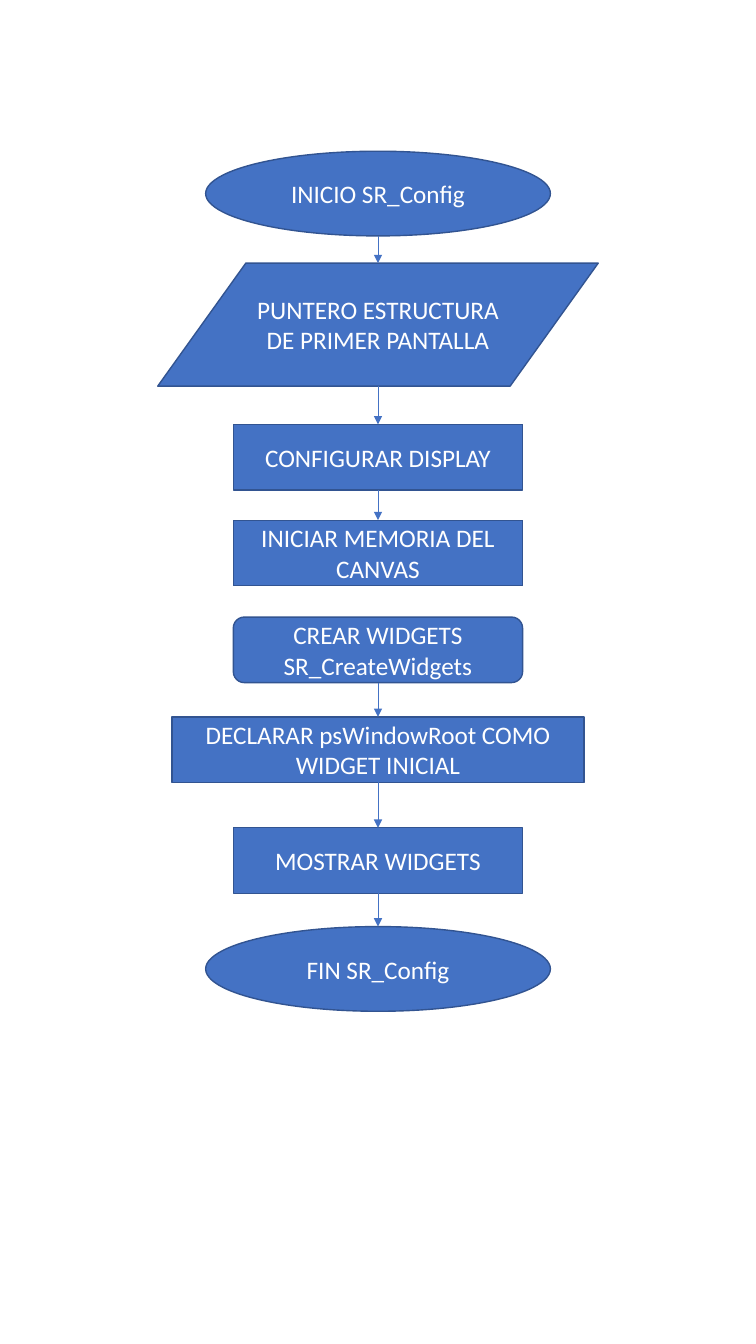
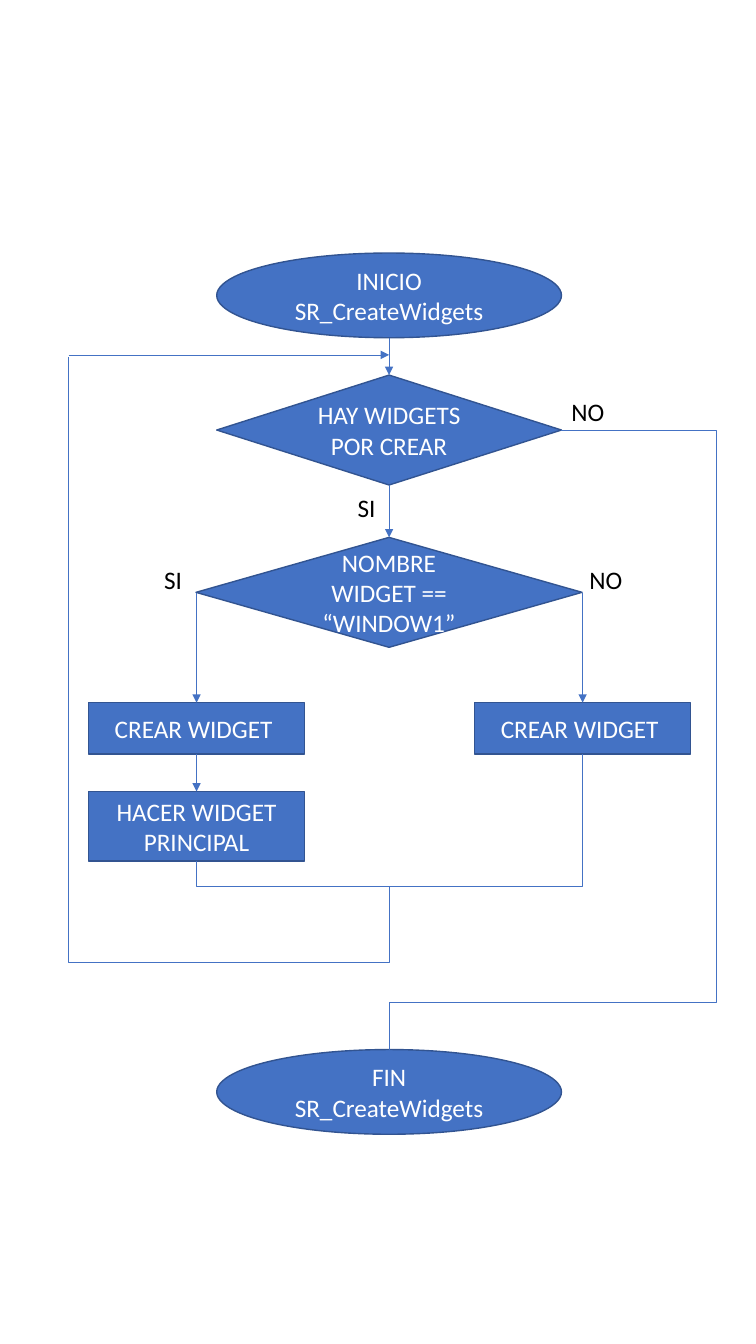
"""Build two flowchart slides describing the SR_Config and SR_CreateWidgets routines."""
import itertools
from dataclasses import dataclass

import lxml.etree
import pptx
import pptx.dml.color
import pptx.enum.shapes
import pptx.enum.text
import pptx.oxml.ns
import pptx.util

Inches = pptx.util.Inches
Kind = pptx.enum.shapes.MSO_SHAPE
Line = pptx.enum.shapes.MSO_CONNECTOR
Point = tuple[float, float]

COLORS = {"fill": "4472C4", "outline": "325491", "light": "FFFFFF", "dark": "000000"}
FONT_NAME = "Calibri"
FONT_SIZE = 18
TERMINAL = (3.42, 0.84)
STEP = (2.87, 0.65)
TASK = (2.14, 0.51)
CONFIG_AXIS = 3.75
WIDGETS_AXIS, YES_AXIS, NO_AXIS = 3.86, 1.95, 5.78


@dataclass(frozen=True)
class Node:
    """A flowchart block centred on a vertical axis."""
    kind: Kind
    text: str
    axis: float
    top: float
    size: tuple[float, float]

    @property
    def bottom(self) -> float:
        """Return the lower edge of the block."""
        return self.top + self.size[1]


@dataclass(frozen=True)
class Elbow:
    """A bent connector whose frame is rotated by quarter turns."""
    start: Point
    end: Point
    quarter_turns: int
    preset: str
    adjustments: tuple[int, ...]


@dataclass(frozen=True)
class Label:
    """A branch label beside a decision."""
    text: str
    left: float
    top: float
    width: float


def rgb(name: str) -> pptx.dml.color.RGBColor:
    """Return a palette colour."""
    return pptx.dml.color.RGBColor.from_string(COLORS[name])


def write_text(text_frame, text: str, color: str, alignment) -> None:
    """Fill a text frame and format its runs."""
    text_frame.text = text
    for paragraph in text_frame.paragraphs:
        paragraph.alignment = alignment
        for run in paragraph.runs:
            run.font.name = FONT_NAME
            run.font.size = pptx.util.Pt(FONT_SIZE)
            run.font.color.rgb = rgb(color)


def draw_node(slide, node: Node) -> None:
    """Draw one flowchart block."""
    width, height = node.size
    shape = slide.shapes.add_shape(
        node.kind, Inches(node.axis - width / 2), Inches(node.top), Inches(width), Inches(height))
    shape.shadow.inherit = False
    shape.fill.solid()
    shape.fill.fore_color.rgb = rgb("fill")
    shape.line.color.rgb = rgb("outline")
    shape.line.width = pptx.util.Pt(1)
    shape.text_frame.word_wrap = True
    shape.text_frame.vertical_anchor = pptx.enum.text.MSO_ANCHOR.MIDDLE
    write_text(shape.text_frame, node.text, "light", pptx.enum.text.PP_ALIGN.CENTER)


def draw_connector(slide, kind: Line, start: Point, end: Point, arrow: bool):
    """Draw a thin connector, with an arrowhead at its end if asked."""
    connector = slide.shapes.add_connector(kind, *map(Inches, start + end))
    connector.line.color.rgb = rgb("fill")
    connector.line.width = pptx.util.Pt(0.5)
    if arrow:
        line = connector.line._get_or_add_ln()
        lxml.etree.SubElement(line, pptx.oxml.ns.qn("a:tailEnd"), type="triangle")
    lxml.etree.SubElement(connector._element.spPr, pptx.oxml.ns.qn("a:effectLst"))
    return connector


def draw_arrow(slide, start: Point, end: Point) -> None:
    """Draw a straight arrow."""
    draw_connector(slide, Line.STRAIGHT, start, end, arrow=True)


def link(slide, upper: Node, lower: Node) -> None:
    """Draw an arrow down from one block to the next."""
    draw_arrow(slide, (upper.axis, upper.bottom), (upper.axis, lower.top))


def draw_elbow(slide, elbow: Elbow) -> None:
    """Draw a bent connector in its rotated frame."""
    center_x = (elbow.start[0] + elbow.end[0]) / 2
    center_y = (elbow.start[1] + elbow.end[1]) / 2
    across, down = elbow.start[0] - center_x, elbow.start[1] - center_y
    for _ in range(elbow.quarter_turns):
        across, down = down, -across
    connector = draw_connector(
        slide, Line.ELBOW, (center_x + across, center_y + down),
        (center_x - across, center_y - down), arrow=False)
    properties = connector._element.spPr
    if elbow.quarter_turns:
        properties.find(pptx.oxml.ns.qn("a:xfrm")).set("rot", str(elbow.quarter_turns * 5400000))
    geometry = properties.find(pptx.oxml.ns.qn("a:prstGeom"))
    geometry.set("prst", elbow.preset)
    guides = geometry.find(pptx.oxml.ns.qn("a:avLst"))
    for number, value in enumerate(elbow.adjustments, start=1):
        lxml.etree.SubElement(
            guides, pptx.oxml.ns.qn("a:gd"), name=f"adj{number}", fmla=f"val {value}")


def draw_label(slide, label: Label) -> None:
    """Draw a branch label."""
    box = slide.shapes.add_textbox(
        Inches(label.left), Inches(label.top), Inches(label.width), Inches(0.4))
    box.text_frame.word_wrap = False
    box.text_frame.auto_size = pptx.enum.text.MSO_AUTO_SIZE.SHAPE_TO_FIT_TEXT
    write_text(box.text_frame, label.text, "dark", pptx.enum.text.PP_ALIGN.LEFT)


def build_config(slide) -> None:
    """Draw the SR_Config flowchart."""
    before_widgets = [
        Node(Kind.OVAL, "INICIO SR_Config", CONFIG_AXIS, 1.5, TERMINAL),
        Node(Kind.FLOWCHART_DATA, "PUNTERO ESTRUCTURA DE PRIMER PANTALLA",
             CONFIG_AXIS, 2.61, (4.37, 1.22)),
        Node(Kind.FLOWCHART_PROCESS, "CONFIGURAR DISPLAY", CONFIG_AXIS, 4.21, STEP),
        Node(Kind.FLOWCHART_PROCESS, "INICIAR MEMORIA DEL CANVAS", CONFIG_AXIS, 5.16, STEP),
    ]
    from_widgets = [
        Node(Kind.ROUNDED_RECTANGLE, "CREAR WIDGETS\nSR_CreateWidgets", CONFIG_AXIS, 6.12, STEP),
        Node(Kind.RECTANGLE, "DECLARAR psWindowRoot COMO WIDGET INICIAL",
             CONFIG_AXIS, 7.11, (4.09, 0.65)),
        Node(Kind.FLOWCHART_PROCESS, "MOSTRAR WIDGETS", CONFIG_AXIS, 8.21, STEP),
        Node(Kind.OVAL, "FIN SR_Config", CONFIG_AXIS, 9.19, TERMINAL),
    ]
    for chain in (before_widgets, from_widgets):
        for node in chain:
            draw_node(slide, node)
        for upper, lower in itertools.pairwise(chain):
            link(slide, upper, lower)


def build_widgets(slide) -> None:
    """Draw the SR_CreateWidgets flowchart."""
    start = Node(Kind.OVAL, "INICIO SR_CreateWidgets", WIDGETS_AXIS, 2.51, TERMINAL)
    pending = Node(Kind.FLOWCHART_DECISION, "HAY WIDGETS POR CREAR",
                   WIDGETS_AXIS, 3.72, (3.42, 1.09))
    named = Node(Kind.FLOWCHART_DECISION, "NOMBRE WIDGET == “WINDOW1”",
                 WIDGETS_AXIS, 5.33, (3.83, 1.09))
    create_main = Node(Kind.FLOWCHART_PROCESS, "CREAR WIDGET ", YES_AXIS, 6.97, TASK)
    make_main = Node(Kind.FLOWCHART_PROCESS, "HACER WIDGET PRINCIPAL", YES_AXIS, 7.85, (2.14, 0.69))
    create_other = Node(Kind.FLOWCHART_PROCESS, "CREAR WIDGET ", NO_AXIS, 6.97, TASK)
    finish = Node(Kind.OVAL, "FIN SR_CreateWidgets", WIDGETS_AXIS, 10.41, TERMINAL)
    for node in (start, pending, named, create_main, make_main, create_other, finish):
        draw_node(slide, node)

    for upper, lower in ((start, pending), (pending, named), (create_main, make_main)):
        link(slide, upper, lower)
    for branch in (create_main, create_other):
        draw_arrow(slide, (branch.axis, 5.88), (branch.axis, branch.top))
    draw_arrow(slide, (0.68, 3.52), (WIDGETS_AXIS, 3.52))

    elbows = [
        Elbow((NO_AXIS, create_other.bottom), (YES_AXIS, make_main.bottom),
              1, "bentConnector3", (123600,)),
        Elbow((WIDGETS_AXIS, 8.79), (0.68, 3.54), 3, "bentConnector3", (-14300,)),
        Elbow((5.57, 4.27), (WIDGETS_AXIS, finish.top), 0, "bentConnector4", (-89800, 92400)),
    ]
    for elbow in elbows:
        draw_elbow(slide, elbow)

    labels = [
        Label("SI", 1.53, 5.55, 0.38),
        Label("NO", 5.75, 5.55, 0.53),
        Label("SI", 3.45, 4.83, 0.38),
        Label("NO", 5.57, 3.88, 0.53),
    ]
    for label in labels:
        draw_label(slide, label)


def main() -> None:
    """Build and save the presentation."""
    presentation = pptx.Presentation()
    presentation.slide_width = Inches(7.5)
    presentation.slide_height = Inches(13.33)
    for build in (build_config, build_widgets):
        build(presentation.slides.add_slide(presentation.slide_layouts[6]))
    presentation.save("out.pptx")


main()
